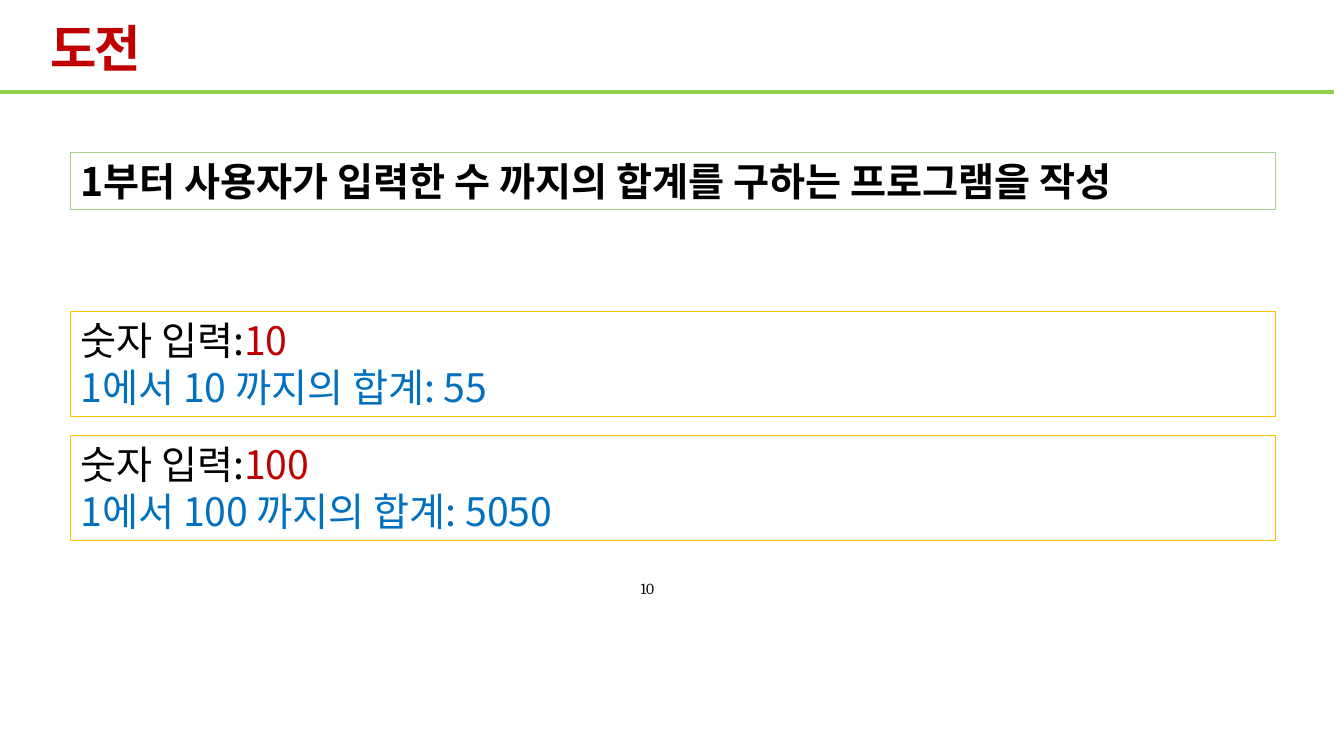
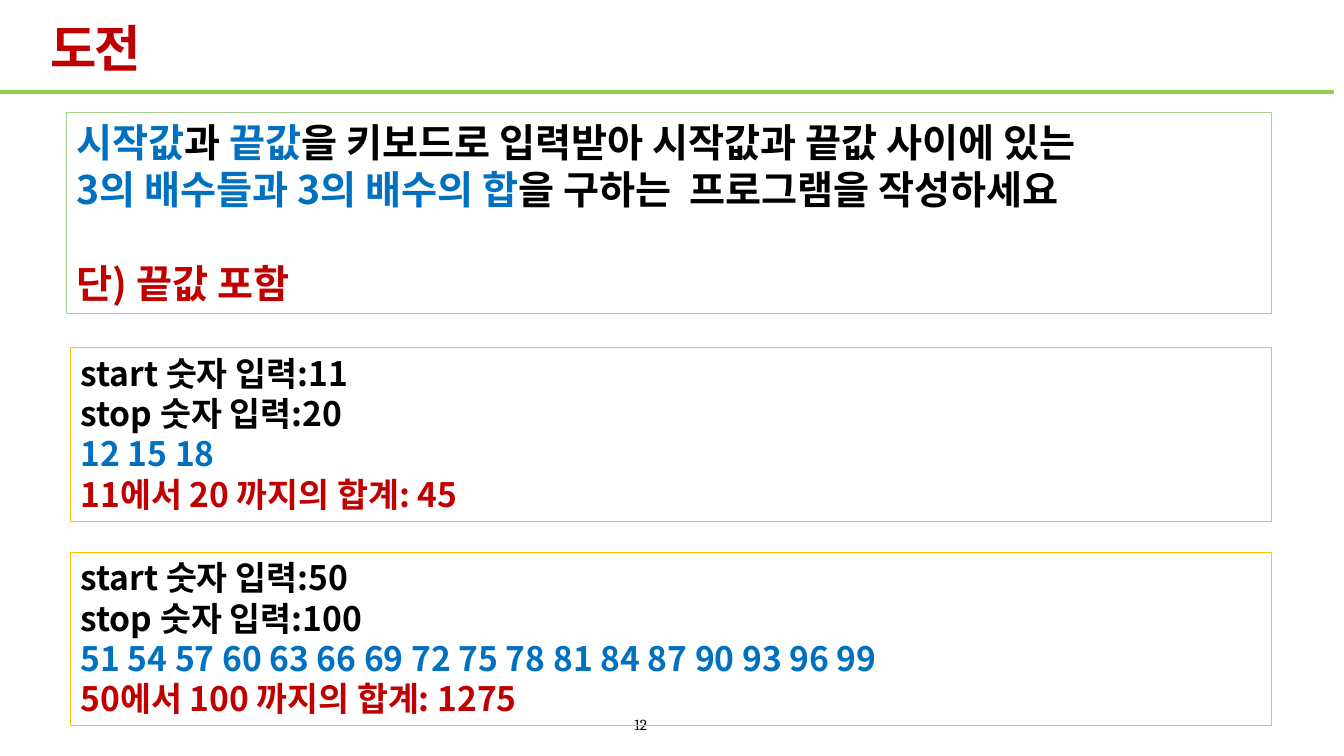
from dataclasses import dataclass

from lxml import etree
from pptx import Presentation
from pptx.dml.color import RGBColor
from pptx.enum import shapes, text
from pptx.oxml.ns import qn
from pptx.util import Inches, Pt


@dataclass(frozen=True)
class Theme:
    black: str = "000000"
    red: str = "C00000"
    blue: str = "0070C0"
    rule: str = "92D050"
    task: str = "A9D18E"
    example: str = "FFC000"
    font: str = "Noto Sans CJK KR"
    number_font: str = "Cambria"
    title_size: int = 36
    task_size: int = 28
    example_size: int = 24
    number_size: int = 11


theme = Theme()


def write(paragraph, words, size, color=theme.black, bold=False, font=theme.font, spacing=None):
    run = paragraph.add_run()
    run.text = words
    run.font.size = Pt(size)
    run.font.bold = bold
    run.font.name = font
    run.font.color.rgb = RGBColor.from_string(color)
    properties = run._r.get_or_add_rPr()
    etree.SubElement(properties, qn("a:ea")).set("typeface", font)
    if spacing is not None:
        properties.set("spc", str(spacing))


def add_panel(slide, place, outline, lines, size, bold, last_gap=0):
    panel = slide.shapes.add_shape(shapes.MSO_SHAPE.RECTANGLE, *map(Inches, place))
    panel.shadow.inherit = False
    panel.fill.background()
    panel.line.color.rgb = RGBColor.from_string(outline)
    panel.line.width = Pt(0.75)
    frame = panel.text_frame
    frame.word_wrap = True
    frame.auto_size = text.MSO_AUTO_SIZE.SHAPE_TO_FIT_TEXT
    frame.vertical_anchor = text.MSO_ANCHOR.TOP
    for index, line in enumerate(lines):
        paragraph = frame.paragraphs[0] if index == 0 else frame.add_paragraph()
        paragraph.alignment = text.PP_ALIGN.LEFT
        for words, color in line:
            write(paragraph, words, size, color, bold)
    paragraph.space_before = Pt(last_gap)


deck = Presentation()
deck.slide_width, deck.slide_height = Inches(13.33), Inches(7.5)
title_only = deck.slide_layouts.get_by_name("Title Only")

pages = []
for number, number_place in (
    ("10", (6.08, 5.68, 0.68, 0.31)),
    ("12", (6.08, 7.01, 0.55, 0.36)),
):
    slide = deck.slides.add_slide(title_only)
    pages.append(slide)

    rule = slide.shapes.add_connector(
        shapes.MSO_CONNECTOR.STRAIGHT, 0, Inches(0.91), Inches(13.23), Inches(0.91)
    )
    rule.line.color.rgb = RGBColor.from_string(theme.rule)
    rule.line.width = Pt(3)
    etree.SubElement(rule._element.spPr, qn("a:effectLst"))

    page_number = slide.shapes.add_textbox(*map(Inches, number_place)).text_frame
    page_number.word_wrap = True
    page_number.vertical_anchor = text.MSO_ANCHOR.MIDDLE
    page_number.paragraphs[0].alignment = text.PP_ALIGN.CENTER
    write(page_number.paragraphs[0], number, theme.number_size, font=theme.number_font)

    title = slide.shapes.title
    title.left, title.top, title.width, title.height = map(Inches, (0.4, 0.21, 7.43, 0.59))
    title.text_frame.vertical_anchor = text.MSO_ANCHOR.MIDDLE
    heading = title.text_frame.paragraphs[0]
    heading.alignment = text.PP_ALIGN.LEFT
    heading.line_spacing = 0.9
    write(heading, "도전", theme.title_size, theme.red, bold=True, spacing=-150)

sum_page, multiples_page = pages

sum_task = [[("1부터 사용자가 입력한 수 까지의 합계를 구하는 프로그램을 작성", theme.black)]]
add_panel(sum_page, (0.7, 1.51, 11.95, 0.57), theme.task, sum_task, theme.task_size, True)

for index, (limit, total) in enumerate(((10, 55), (100, 5050))):
    dialogue = [
        [("숫자 입력:", theme.black), (f"{limit}", theme.red)],
        [(f"1에서 {limit} 까지의 합계: {total}", theme.blue)],
    ]
    place = (0.7, 3.09 + 1.23 * index, 11.95, 1.04)
    add_panel(sum_page, place, theme.example, dialogue, theme.task_size, False)

multiples_task = [
    [
        ("시작값", theme.blue),
        ("과 ", theme.black),
        ("끝값", theme.blue),
        ("을 키보드로 입력받아 시작값과 끝값 사이에 있는", theme.black),
    ],
    [
        ("3의 배수들과 3의 배수의 합", theme.blue),
        ("을 구하는  프로그램을 작성하세요", theme.black),
    ],
    [("단) 끝값 포함", theme.red)],
]
add_panel(
    multiples_page, (0.66, 1.12, 11.95, 1.99), theme.task, multiples_task,
    theme.task_size, True, last_gap=34,
)

for index, (start, stop) in enumerate(((11, 20), (50, 100))):
    multiples = [value for value in range(start, stop + 1) if value % 3 == 0]
    dialogue = [
        [(f"start 숫자 입력:{start}", theme.black)],
        [(f"stop 숫자 입력:{stop}", theme.black)],
        [(" ".join(map(str, multiples)), theme.blue)],
        [(f"{start}에서 {stop} 까지의 합계: {sum(multiples)}", theme.red)],
    ]
    place = (0.7, 3.45 + 2.03 * index, 11.91, 1.72)
    add_panel(multiples_page, place, theme.example, dialogue, theme.example_size, True)

deck.save("out.pptx")
